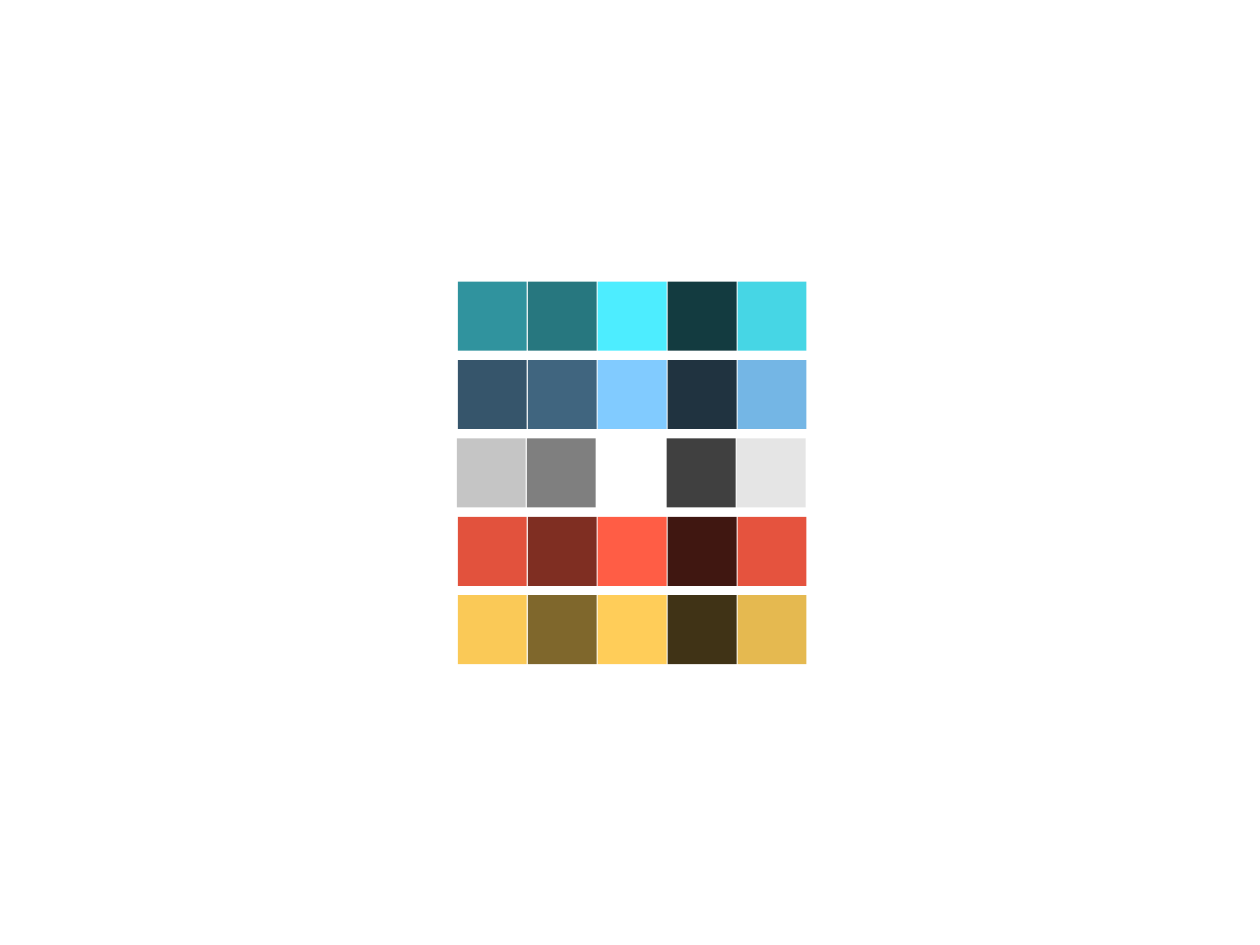
from pptx import Presentation
from pptx.dml.color import RGBColor
from pptx.enum.shapes import MSO_SHAPE
from pptx.util import Cm

# Swatch colours, left to right
TEALS = [RGBColor.from_string(c) for c in ("30939E", "27777F", "4DEDFF", "133B40", "46D6E5")]
BLUES = [RGBColor.from_string(c) for c in ("36556B", "40657F", "81CBFF", "203340", "74B6E5")]
GREYS = [RGBColor.from_string(c) for c in ("C5C5C5", "7F7F7F", "FFFFFF", "404040", "E5E5E5")]
REDS = [RGBColor.from_string(c) for c in ("E2523D", "7F2E22", "FF5D45", "401711", "E5533E")]
YELLOWS = [RGBColor.from_string(c) for c in ("FAC957", "7F672C", "FFCD59", "403316", "E5B950")]

# Grid, in centimetres
LEFT, TOP = 9.23, 5.68
GREY_LEFT = 9.21
SWATCH_SIZE = 1.39
COLUMN_STEP, ROW_STEP = 1.41, 1.58

PAGE_FORMAT = {"slide_width": Cm(25.4), "slide_height": Cm(19.05)}


def apply_format(target, values):
    for name, value in values.items():
        setattr(target, name, value)


def add_swatch(slide, left, top, colour):
    swatch = slide.shapes.add_shape(
        MSO_SHAPE.RECTANGLE, Cm(left), Cm(top), Cm(SWATCH_SIZE), Cm(SWATCH_SIZE))
    swatch.fill.solid()
    swatch.fill.fore_color.rgb = colour
    swatch.line.fill.background()
    swatch.shadow.inherit = False


def add_palette_row(slide, left, top, colours):
    for column, colour in enumerate(colours):
        add_swatch(slide, left + column * COLUMN_STEP, top, colour)


def main():
    presentation = Presentation()
    apply_format(presentation, PAGE_FORMAT)
    slide = presentation.slides.add_slide(presentation.slide_layouts[6])

    # Five palettes, one per row; the grey one sits slightly to the left
    for row, palette in enumerate((TEALS, BLUES, GREYS, REDS, YELLOWS)):
        left = GREY_LEFT if palette is GREYS else LEFT
        add_palette_row(slide, left, TOP + row * ROW_STEP, palette)

    presentation.save("out.pptx")


if __name__ == "__main__":
    main()
